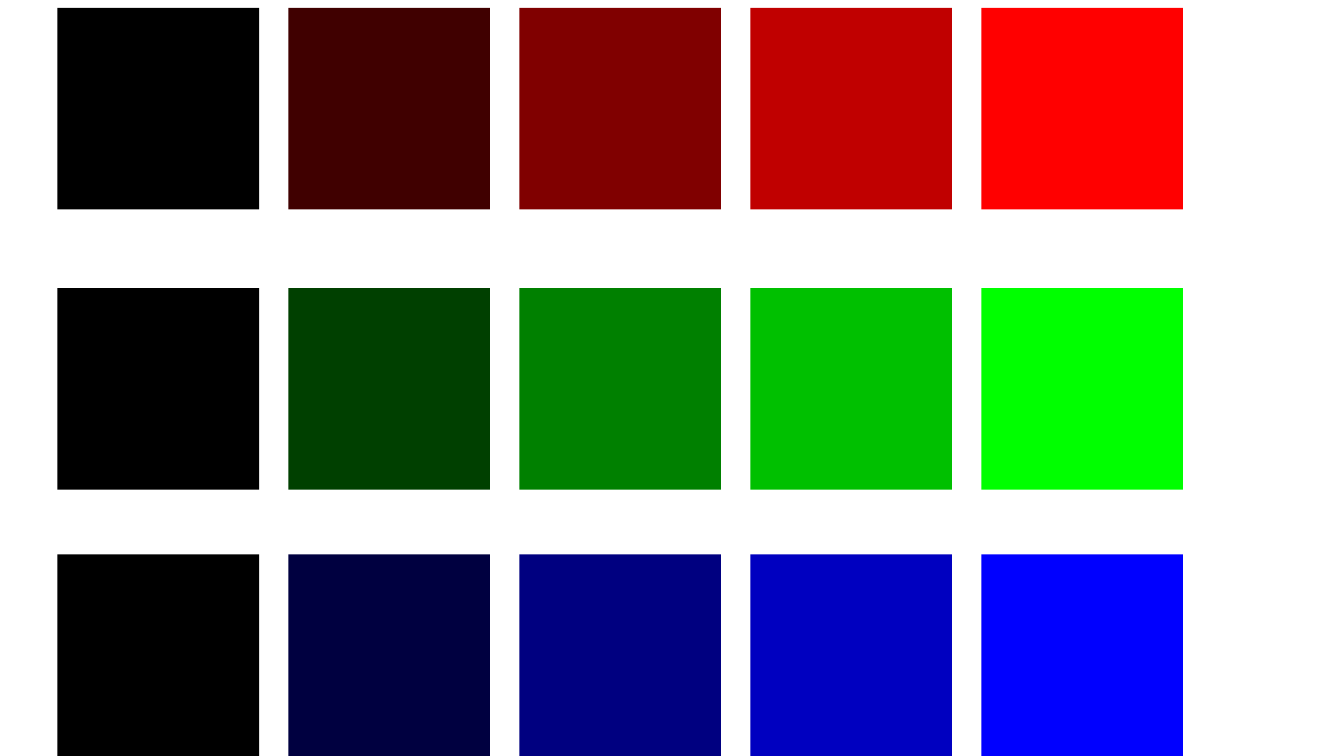
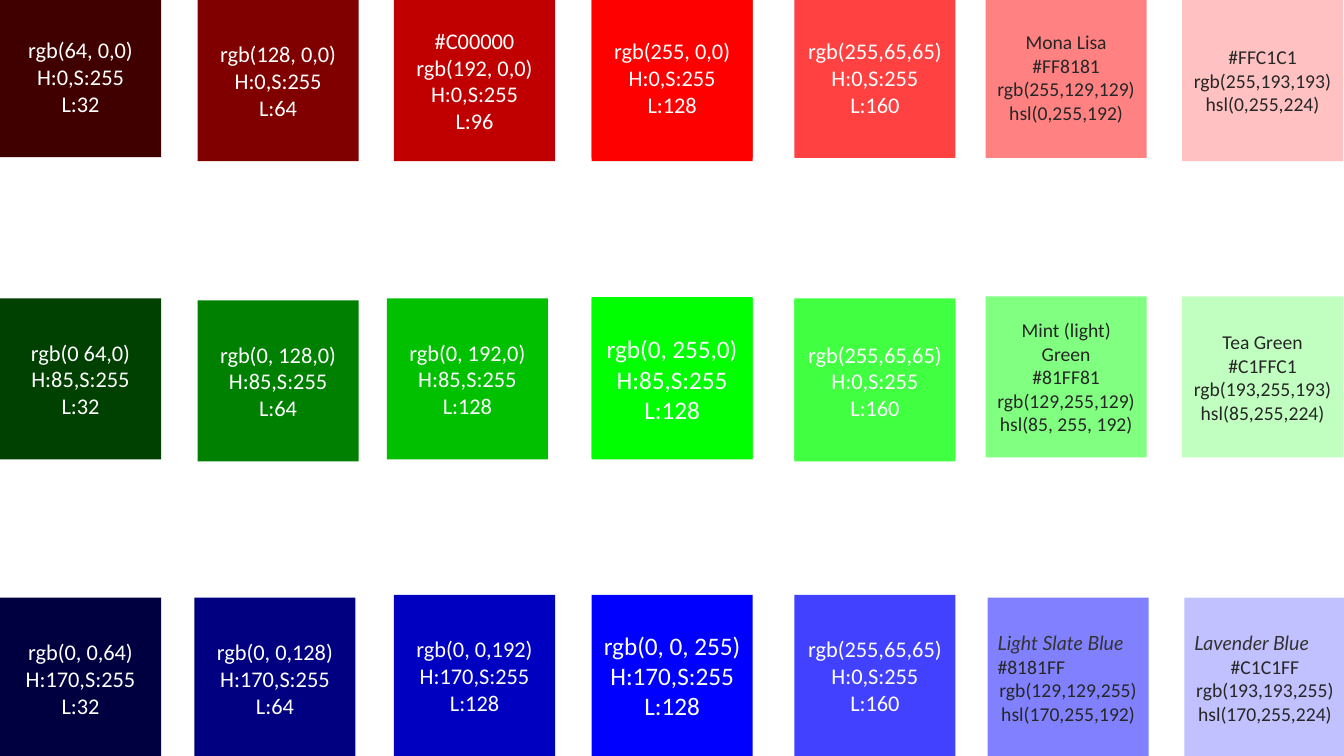
from pptx import Presentation
from pptx.dml.color import RGBColor
from pptx.enum.shapes import MSO_SHAPE
from pptx.enum.text import MSO_ANCHOR, PP_ALIGN
from pptx.util import Cm, Pt

COLOURS = {
    "black": "000000", "white": "FFFFFF", "ink": "262626", "name": "333333",
    "red 32": "400000", "red 64": "800000", "red 96": "C00000", "red 128": "FF0000",
    "red 160": "FF4141", "red 192": "FF8181", "red 224": "FFC1C1",
    "green 32": "004000", "green 64": "008000", "green 96": "00C000", "green 128": "00FF00",
    "green 160": "41FF41", "green 192": "81FF81", "green 224": "C1FFC1",
    "blue 32": "000040", "blue 64": "000080", "blue 96": "0000C0", "blue 128": "0000FF",
    "blue 160": "4141FF", "blue 192": "8181FF", "blue 224": "C1C1FF",
}
BODY_FONT, NAME_FONT = "Calibri", "Lato"

RAMP_SIDE, RAMP_LEFT, RAMP_STEP = 5.08, 1.45, 5.82
RAMP_TOPS = {"red": 0.2, "green": 7.26, "blue": 13.97}
RAMP_LEVELS = (32, 64, 96, 128)

LABEL_SIDE = 4.06
UNDERLAYS = [("red 128", 14.91, 0), ("green 128", 14.91, 7.49), ("green 160", 20.02, 7.52)]
DARK_SWATCHES = [
    ("red 32", 0, -0.1, 16, "rgb(64, 0,0)\nH:0,S:255\nL:32"),
    ("red 64", 4.98, 0, 16, "rgb(128, 0,0)\nH:0,S:255\nL:64"),
    ("red 96", 9.93, 0, 16, "#C00000\nrgb(192, 0,0)\nH:0,S:255\nL:96"),
    ("red 128", 14.91, -0.08, 16, "rgb(255, 0,0)\nH:0,S:255\nL:128"),
    ("red 160", 20.02, -0.08, 16, "rgb(255,65,65)\nH:0,S:255\nL:160"),
    ("green 32", 0, 7.52, 16, "rgb(0 64,0)\nH:85,S:255\nL:32"),
    ("green 64", 4.98, 7.57, 16, "rgb(0, 128,0)\nH:85,S:255\nL:64"),
    ("green 96", 9.75, 7.52, 16, "rgb(0, 192,0)\nH:85,S:255\nL:128"),
    ("green 128", 14.91, 7.52, 18, "rgb(0, 255,0)\nH:85,S:255\nL:128"),
    ("green 160", 20.02, 7.57, 16, "rgb(255,65,65)\nH:0,S:255\nL:160"),
    ("blue 32", 0, 15.06, 16, "rgb(0, 0,64)\nH:170,S:255\nL:32"),
    ("blue 64", 4.9, 15.06, 16, "rgb(0, 0,128)\nH:170,S:255\nL:64"),
    ("blue 96", 9.93, 14.99, 16, "rgb(0, 0,192)\nH:170,S:255\nL:128"),
    ("blue 128", 14.91, 14.99, 18, "rgb(0, 0, 255)\nH:170,S:255\nL:128"),
    ("blue 160", 20.02, 14.99, 16, "rgb(255,65,65)\nH:0,S:255\nL:160"),
]
LIGHT_SWATCHES = [
    ("red 192", 24.84, -0.08, 14, "Mona Lisa\n#FF8181\nrgb(255,129,129)\nhsl(0,255,192)"),
    ("red 224", 29.79, 0, 14, "#FFC1C1\nrgb(255,193,193)\nhsl(0,255,224)"),
    ("green 192", 24.84, 7.47, 14,
     "Mint (light) Green\n#81FF81\nrgb(129,255,129)\nhsl(85, 255, 192)"),
    ("green 224", 29.79, 7.47, 14, "Tea Green\n#C1FFC1\nrgb(193,255,193)\nhsl(85,255,224)"),
]
NAMED_SWATCHES = [
    ("blue 192", 24.89, 15.06, 14, 2,
     "Light Slate Blue\n#8181FF\nrgb(129,129,255)\nhsl(170,255,192)"),
    ("blue 224", 29.85, 15.06, 14, 1,
     "Lavender Blue\n#C1C1FF\nrgb(193,193,255)\nhsl(170,255,224)"),
]


def rgb(colour):
    return RGBColor.from_string(COLOURS[colour])


def add_square(page, colour, left, top, side):
    square = page.shapes.add_shape(MSO_SHAPE.RECTANGLE, Cm(left), Cm(top), Cm(side), Cm(side))
    square.shadow.inherit = False
    square.fill.solid()
    square.fill.fore_color.rgb = rgb(colour)
    square.line.fill.background()
    return square


def style_span(span, font, size, colour, italic=False):
    span.font.name = font
    span.font.size = Pt(size)
    span.font.color.rgb = rgb(colour)
    span.font.italic = italic


def add_swatch(page, colour, left, top, size, label, text_colour):
    frame = add_square(page, colour, left, top, LABEL_SIDE).text_frame
    frame.word_wrap = True
    frame.vertical_anchor = MSO_ANCHOR.MIDDLE
    frame.text = label
    for para in frame.paragraphs:
        para.alignment = PP_ALIGN.CENTER
        style_span(para.runs[0], BODY_FONT, size, text_colour)
    return frame


def add_named_swatch(page, colour, left, top, size, left_lines, label):
    paras = add_swatch(page, colour, left, top, size, label, "ink").paragraphs
    for para in paras[:left_lines]:
        para.alignment = PP_ALIGN.LEFT
    style_span(paras[0].runs[0], NAME_FONT, size, "name", italic=True)


def build_ramps(page):
    for hue, top in RAMP_TOPS.items():
        colours = ["black"] + [f"{hue} {level}" for level in RAMP_LEVELS]
        for column, colour in enumerate(colours):
            add_square(page, colour, RAMP_LEFT + column * RAMP_STEP, top, RAMP_SIDE)


def build_labelled_swatches(page):
    for underlay in UNDERLAYS:
        add_square(page, *underlay, LABEL_SIDE)
    for swatch in DARK_SWATCHES:
        add_swatch(page, *swatch, "white")
    for swatch in LIGHT_SWATCHES:
        add_swatch(page, *swatch, "ink")
    for swatch in NAMED_SWATCHES:
        add_named_swatch(page, *swatch)


def main():
    deck = Presentation()
    deck.slide_width, deck.slide_height = Cm(33.87), Cm(19.05)
    blank = deck.slide_layouts.get_by_name("Blank")
    for build in (build_ramps, build_labelled_swatches):
        build(deck.slides.add_slide(blank))
    deck.save("out.pptx")


if __name__ == "__main__":
    main()
